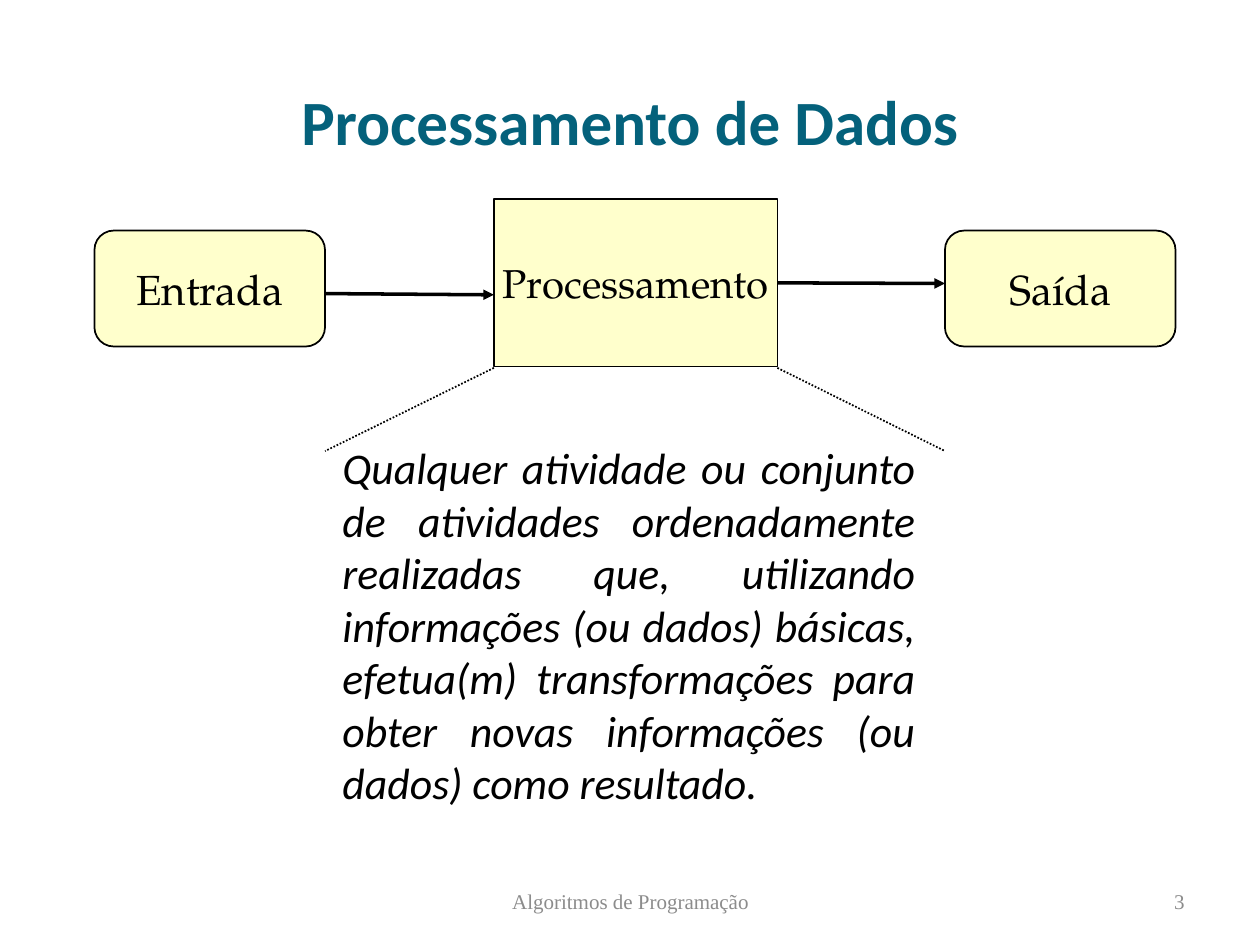
from dataclasses import dataclass

from lxml.etree import SubElement
from pptx import Presentation
from pptx.dml.color import RGBColor
from pptx.enum.dml import MSO_LINE
from pptx.enum.shapes import MSO_CONNECTOR, MSO_SHAPE
from pptx.enum.text import MSO_ANCHOR, PP_ALIGN
from pptx.oxml.ns import qn
from pptx.util import Inches, Pt


@dataclass(frozen=True)
class Theme:
    ink: str = "000000"
    title: str = "04617B"
    muted: str = "8C8C8C"
    box: str = "FFFFCC"
    body_font: str = "Calibri"
    box_font: str = "TeX Gyre Pagella"
    footer_font: str = "Times New Roman"
    title_size: int = 36
    body_size: int = 25
    box_size: int = 24
    process_size: int = 23
    footer_size: int = 12


class SlideBuilder:
    def __init__(self, slide, theme):
        self.shapes = slide.shapes
        self.theme = theme

    def fill_text(self, sp, text, font, size, color, align, anchor=MSO_ANCHOR.MIDDLE,
                  wrap=True, bold=False, italic=False):
        tf = sp.text_frame
        tf.word_wrap = wrap
        tf.vertical_anchor = anchor
        p = tf.paragraphs[0]
        p.alignment = align
        r = p.add_run()
        r.text = text
        r.font.name = font
        r.font.size = Pt(size)
        r.font.bold = bold
        r.font.italic = italic
        r.font.color.rgb = RGBColor.from_string(color)

    def text(self, bounds, text, font, size, color, align, **style):
        sp = self.shapes.add_textbox(*map(Inches, bounds))
        self.fill_text(sp, text, font, size, color, align, **style)
        return sp

    def footer(self, bounds, text, align):
        t = self.theme
        return self.text(bounds, text, t.footer_font, t.footer_size, t.muted, align)

    def box(self, kind, bounds, text, size):
        t = self.theme
        sp = self.shapes.add_shape(kind, *map(Inches, bounds))
        sp.shadow.inherit = False
        sp.fill.solid()
        sp.fill.fore_color.rgb = RGBColor.from_string(t.box)
        sp.line.color.rgb = RGBColor.from_string(t.ink)
        sp.line.width = Pt(1)
        self.fill_text(sp, text, t.box_font, size, t.ink, PP_ALIGN.CENTER, wrap=False)
        return sp

    def line(self, start, end, width):
        cn = self.shapes.add_connector(MSO_CONNECTOR.STRAIGHT, *map(Inches, start + end))
        cn.line.color.rgb = RGBColor.from_string(self.theme.ink)
        cn.line.width = Pt(width)
        SubElement(cn._element.spPr, qn("a:effectLst"))
        return cn

    def arrow(self, start, end):
        cn = self.line(start, end, 2)
        SubElement(cn._element.spPr.get_or_add_ln(), qn("a:tailEnd"), type="triangle")
        return cn

    def dotted(self, start, end):
        cn = self.line(start, end, 1)
        cn.line.dash_style = MSO_LINE.ROUND_DOT
        return cn


def main():
    prs = Presentation()
    prs.slide_width, prs.slide_height = Inches(10), Inches(7.5)
    theme = Theme()
    s = SlideBuilder(prs.slides.add_slide(prs.slide_layouts[6]), theme)

    s.footer((3.42, 6.95, 3.17, 0.4), "Algoritmos de Programação", PP_ALIGN.CENTER)
    s.footer((7.17, 6.95, 2.33, 0.4), "3", PP_ALIGN.RIGHT)
    s.text((0.75, 0.62, 8.5, 0.67), "Processamento de Dados", theme.body_font,
           theme.title_size, theme.title, PP_ALIGN.CENTER, bold=True)

    input_right, output_left = 2.58, 7.5
    process_left, process_right, process_bottom = 3.92, 6.17, 2.92
    process = s.box(MSO_SHAPE.RECTANGLE, (process_left, 1.58, 2.25, 1.33),
                    "Processamento", theme.process_size)
    for left, label in ((0.75, "Entrada"), (output_left, "Saída")):
        s.box(MSO_SHAPE.ROUNDED_RECTANGLE, (left, 1.83, 1.83, 0.92), label, theme.box_size)

    s.arrow((input_right, 2.33), (process_left, 2.34))
    output_arrow = s.arrow((process_right, 2.25), (output_left, 2.25))
    output_arrow.begin_connect(process, 3)

    s.text((2.62, 3.45, 4.74, 3.05),
           "Qualquer atividade ou conjunto de atividades ordenadamente realizadas que, "
           "utilizando informações (ou dados) básicas, efetua(m) transformações para "
           "obter novas informações (ou dados) como resultado.",
           theme.body_font, theme.body_size, theme.ink, PP_ALIGN.JUSTIFY,
           anchor=MSO_ANCHOR.TOP, italic=True)
    for corner, outer in ((process_left, input_right), (process_right, output_left)):
        s.dotted((corner, process_bottom), (outer, 3.58))

    prs.save("out.pptx")


if __name__ == "__main__":
    main()
